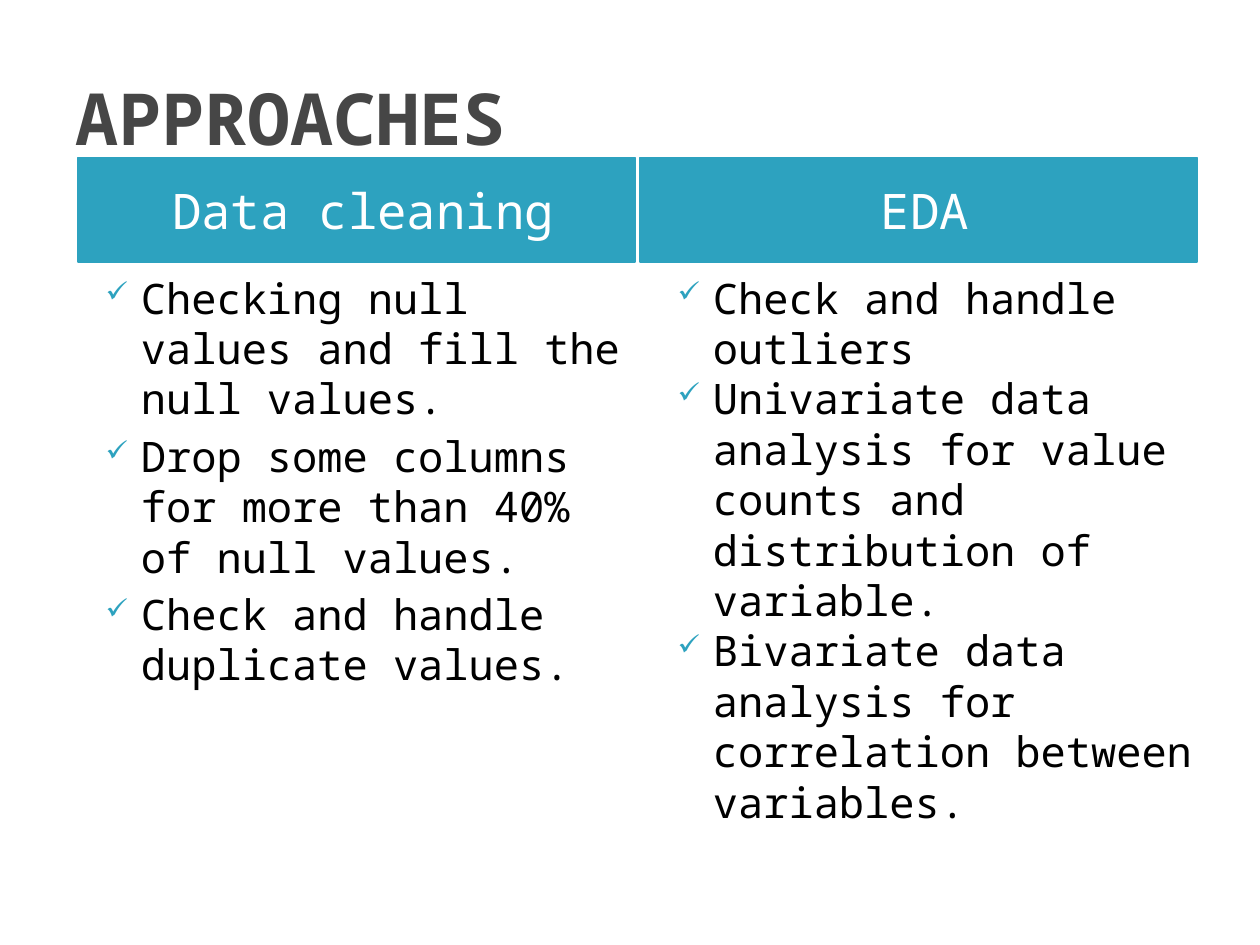
"""Build the slide that sets out the data cleaning and EDA approaches."""
from lxml import etree
from pptx import Presentation
from pptx.dml.color import RGBColor
from pptx.enum import shapes, text
from pptx.oxml.ns import qn
from pptx.util import Pt

TEAL = RGBColor(0x2D, 0xA2, 0xBF)
GREY = RGBColor(0x46, 0x46, 0x46)
WHITE = RGBColor(0xFF, 0xFF, 0xFF)
BLACK = RGBColor(0x00, 0x00, 0x00)
FONT = "Noto Sans Mono"

COLUMNS = [
    ("Data cleaning", 44.64, 44.64, 4, [
        "Checking null values and fill the null values.",
        "Drop some columns for more than 40% of null values.",
        "Check and handle duplicate values.",
    ]),
    ("EDA", 365.76, 371.52, 0, [
        "Check and handle outliers",
        "Univariate data analysis for value counts and distribution of variable.",
        "Bivariate data analysis for correlation between variables.",
    ]),
]
COLUMN_WIDTH = Pt(318.24)


def add_run(paragraph, wording, size, color, bold=False):
    run = paragraph.add_run()
    run.text = wording
    run.font.name = FONT
    run.font.size = Pt(size)
    run.font.bold = bold
    run.font.color.rgb = color


def add_check_bullet(paragraph):
    properties = paragraph._p.get_or_add_pPr()
    properties.set("marL", str(Pt(28.8)))
    properties.set("indent", str(Pt(-20.16)))
    bullet_color = etree.SubElement(properties, qn("a:buClr"))
    etree.SubElement(bullet_color, qn("a:srgbClr"), val=str(TEAL))
    etree.SubElement(properties, qn("a:buSzPct"), val="68000")
    etree.SubElement(properties, qn("a:buChar"), char="✓")


presentation = Presentation()
presentation.slide_width, presentation.slide_height = Pt(720), Pt(540)
slide = presentation.slides.add_slide(presentation.slide_layouts[5])

title = slide.shapes.title
title.left, title.top, title.width, title.height = Pt(36), Pt(21.6), Pt(648), Pt(90)
title.text_frame.auto_size = text.MSO_AUTO_SIZE.NONE
title.text_frame.vertical_anchor = text.MSO_ANCHOR.MIDDLE
paragraph = title.text_frame.paragraphs[0]
paragraph.alignment = text.PP_ALIGN.LEFT
add_run(paragraph, "APPROACHES", 41, GREY, bold=True)

for heading, heading_left, list_left, space_before, items in COLUMNS:
    header = slide.shapes.add_shape(
        shapes.MSO_SHAPE.RECTANGLE, Pt(heading_left), Pt(90), COLUMN_WIDTH, Pt(59.76))
    header.shadow.inherit = False
    header.fill.solid()
    header.fill.fore_color.rgb = TEAL
    header.line.color.rgb = TEAL
    header.line.width = Pt(0.75)
    frame = header.text_frame
    frame.word_wrap = True
    frame.margin_left = Pt(14.4)
    frame.vertical_anchor = text.MSO_ANCHOR.MIDDLE
    paragraph = frame.paragraphs[0]
    paragraph.alignment = text.PP_ALIGN.CENTER
    paragraph.space_before = Pt(4)
    add_run(paragraph, heading, 28, WHITE)

    box = slide.shapes.add_textbox(Pt(list_left), Pt(151.92), COLUMN_WIDTH, Pt(310.32))
    frame = box.text_frame
    frame.word_wrap = True
    for index, item in enumerate(items):
        paragraph = frame.add_paragraph() if index else frame.paragraphs[0]
        paragraph.space_before = Pt(space_before)
        add_check_bullet(paragraph)
        add_run(paragraph, item, 24, BLACK)

presentation.save("out.pptx")
